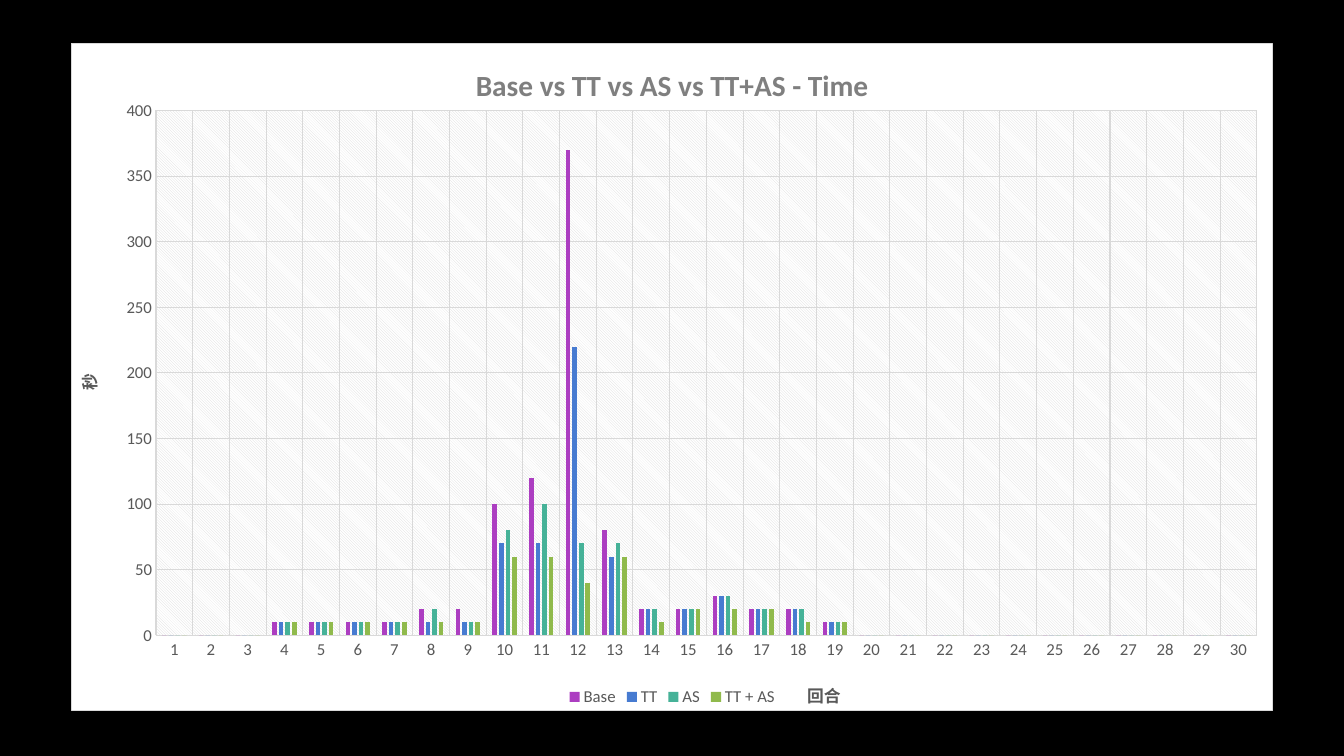
import pptx
import pptx.chart.data
import pptx.dml.color
import pptx.dml.fill
import pptx.enum.chart
import pptx.enum.dml
import pptx.oxml
import pptx.oxml.ns
import pptx.util
from pptx.dml.color import RGBColor
from pptx.util import Cm

BLACK = RGBColor(0x00, 0x00, 0x00)
WHITE = RGBColor(0xFF, 0xFF, 0xFF)
GRID_GREY = RGBColor(0xD9, 0xD9, 0xD9)
TITLE_GREY = RGBColor(0x7F, 0x7F, 0x7F)
LABEL_GREY = RGBColor(0x59, 0x59, 0x59)
FONT = "Calibri"

HEADING = "Base vs TT vs AS vs TT+AS - Time"
ROUND_LABEL = "回合"
SECONDS_LABEL = "秒"
ROUND_COUNT = 30
TIMES = [
    ("Base", RGBColor(0xAC, 0x3E, 0xC1),
     [0, 0, 0, 10, 10, 10, 10, 20, 20, 100, 120, 370, 80, 20, 20, 30, 20, 20, 10]),
    ("TT", RGBColor(0x47, 0x7B, 0xD1),
     [0, 0, 0, 10, 10, 10, 10, 10, 10, 70, 70, 220, 60, 20, 20, 30, 20, 20, 10]),
    ("AS", RGBColor(0x46, 0xB2, 0x98),
     [0, 0, 0, 10, 10, 10, 10, 20, 10, 80, 100, 70, 70, 20, 20, 30, 20, 20, 10]),
    ("TT + AS", RGBColor(0x90, 0xBA, 0x4C),
     [0, 0, 0, 10, 10, 10, 10, 10, 10, 60, 60, 40, 60, 10, 20, 20, 20, 10, 10]),
]


def format_font(font, size, color, bold=False):
    font.name = FONT
    font.size = pptx.util.Pt(size)
    font.color.rgb = color
    font.bold = bold


def write_title(title, text, size=12, color=LABEL_GREY, x=0, y=0):
    run = title.text_frame.paragraphs[0].add_run()
    run.text = text
    format_font(run.font, size, color, bold=True)
    place(title.element, x=x, y=y)


def place(parent, inner=False, **position):
    for old in parent.findall(pptx.oxml.ns.qn("c:layout")):
        parent.remove(old)
    target = '<c:layoutTarget val="inner"/>' if inner else ""
    modes = "".join(f'<c:{side}Mode val="edge"/>' for side in "xy")
    lengths = "".join(f'<c:{key} val="{value}"/>' for key, value in position.items())
    layout = pptx.oxml.parse_xml(
        f'<c:layout {pptx.oxml.ns.nsdecls("c")}><c:manualLayout>'
        f'{target}{modes}{lengths}</c:manualLayout></c:layout>')
    parent.insert(0 if inner else 1, layout)


def new_properties():
    return pptx.oxml.parse_xml(f'<c:spPr {pptx.oxml.ns.nsdecls("c", "a")}/>')


def draw_line(line):
    line.color.rgb = GRID_GREY
    line.width = pptx.util.Pt(0.75)


def style_axis(axis):
    axis.major_tick_mark = axis.minor_tick_mark = pptx.enum.chart.XL_TICK_MARK.NONE
    axis.has_major_gridlines = True
    draw_line(axis.major_gridlines.format.line)
    format_font(axis.tick_labels.font, 12, LABEL_GREY)


def fill_areas(chart):
    frame = new_properties()
    chart.element.chart.addnext(frame)
    paper = pptx.dml.fill.FillFormat.from_fill_parent(frame)
    paper.solid()
    paper.fore_color.rgb = WHITE
    frame.append(pptx.oxml.parse_xml(
        f'<a:ln {pptx.oxml.ns.nsdecls("a")} w="9525"><a:solidFill>'
        f'<a:srgbClr val="{GRID_GREY}"/></a:solidFill></a:ln>'))

    plot_area = chart.element.chart.plotArea
    place(plot_area, inner=True, x=0.07, y=0.1, w=0.917, h=0.787)
    hatching = new_properties()
    plot_area.append(hatching)
    pattern = pptx.dml.fill.FillFormat.from_fill_parent(hatching)
    pattern.patterned()
    pattern.pattern = pptx.enum.dml.MSO_PATTERN.LIGHT_DOWNWARD_DIAGONAL
    pattern.fore_color.rgb = GRID_GREY
    pattern.back_color.rgb = WHITE


def add_time_chart(slide):
    data = pptx.chart.data.CategoryChartData()
    data.categories = [str(number) for number in range(1, ROUND_COUNT + 1)]
    for name, _, seconds in TIMES:
        data.add_series(name, seconds + [0] * (ROUND_COUNT - len(seconds)))
    chart = slide.shapes.add_chart(
        pptx.enum.chart.XL_CHART_TYPE.COLUMN_CLUSTERED,
        Cm(1.8), Cm(1.09), Cm(30.28), Cm(16.87), data).chart
    format_font(chart.font, 10, LABEL_GREY)
    fill_areas(chart)

    bars = chart.plots[0]
    bars.gap_width = 267
    bars.overlap = -43
    bars.vary_by_categories = False
    for series, (_, color, _) in zip(bars.series, TIMES):
        series.format.fill.solid()
        series.format.fill.fore_color.rgb = color
        series.invert_if_negative = False

    rounds, seconds_axis = chart.category_axis, chart.value_axis
    for axis in (rounds, seconds_axis):
        style_axis(axis)
    draw_line(rounds.format.line)
    seconds_axis.format.line.fill.background()
    seconds_axis.minimum_scale = 0
    seconds_axis.maximum_scale = 400
    seconds_axis.major_unit = 50

    write_title(chart.chart_title, HEADING, size=21, color=TITLE_GREY, x=0.332, y=0.024)
    write_title(rounds.axis_title, ROUND_LABEL, x=0.61, y=0.95)
    write_title(seconds_axis.axis_title, SECONDS_LABEL, x=0, y=0.49)

    chart.has_legend = True
    chart.legend.position = pptx.enum.chart.XL_LEGEND_POSITION.BOTTOM
    chart.legend.include_in_layout = False
    format_font(chart.legend.font, 12, LABEL_GREY)


def main():
    deck = pptx.Presentation()
    deck.slide_width, deck.slide_height = Cm(33.87), Cm(19.05)
    slide = deck.slides.add_slide(deck.slide_layouts[6])
    slide.background.fill.solid()
    slide.background.fill.fore_color.rgb = BLACK
    add_time_chart(slide)
    deck.save("out.pptx")


if __name__ == "__main__":
    main()
